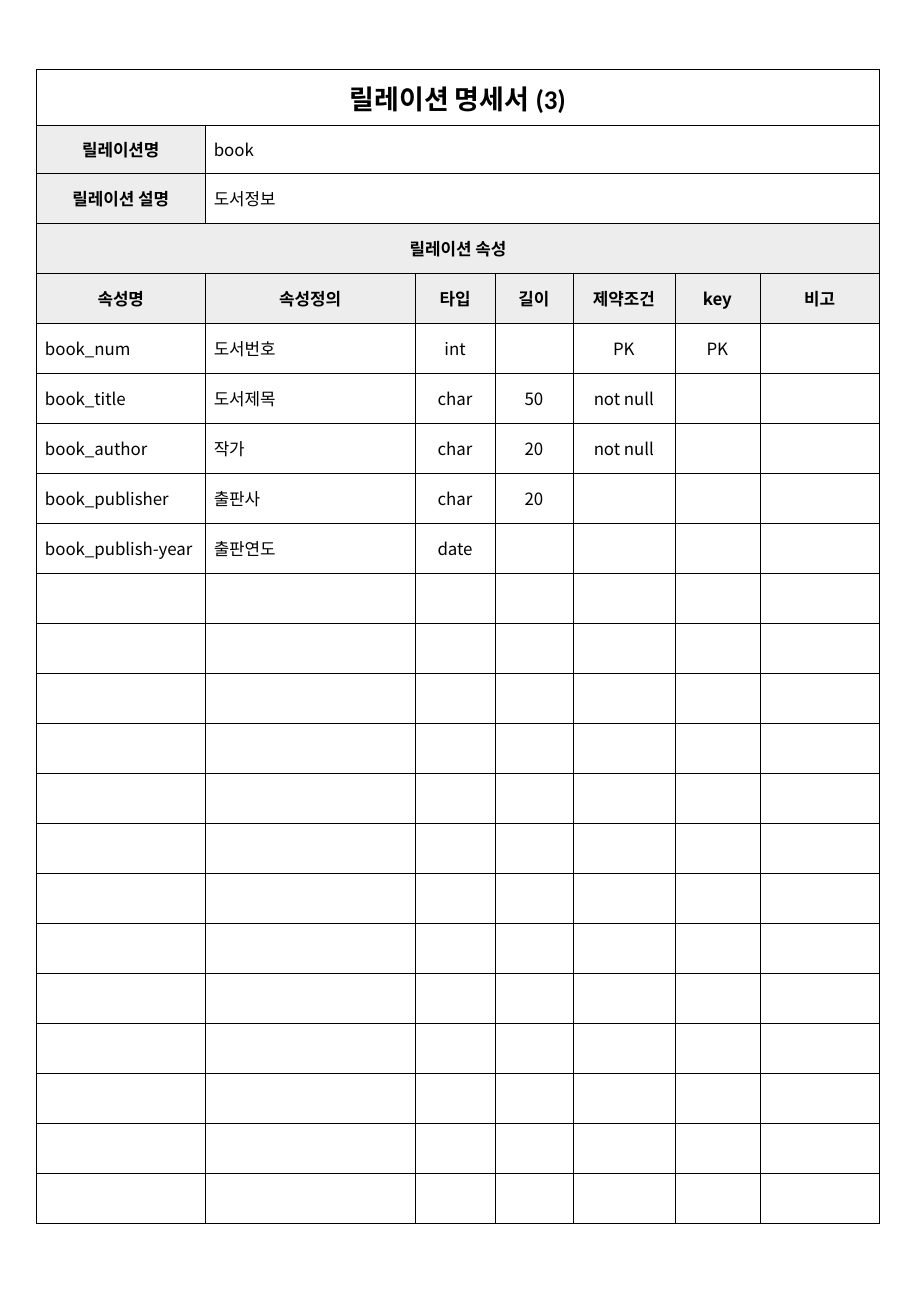
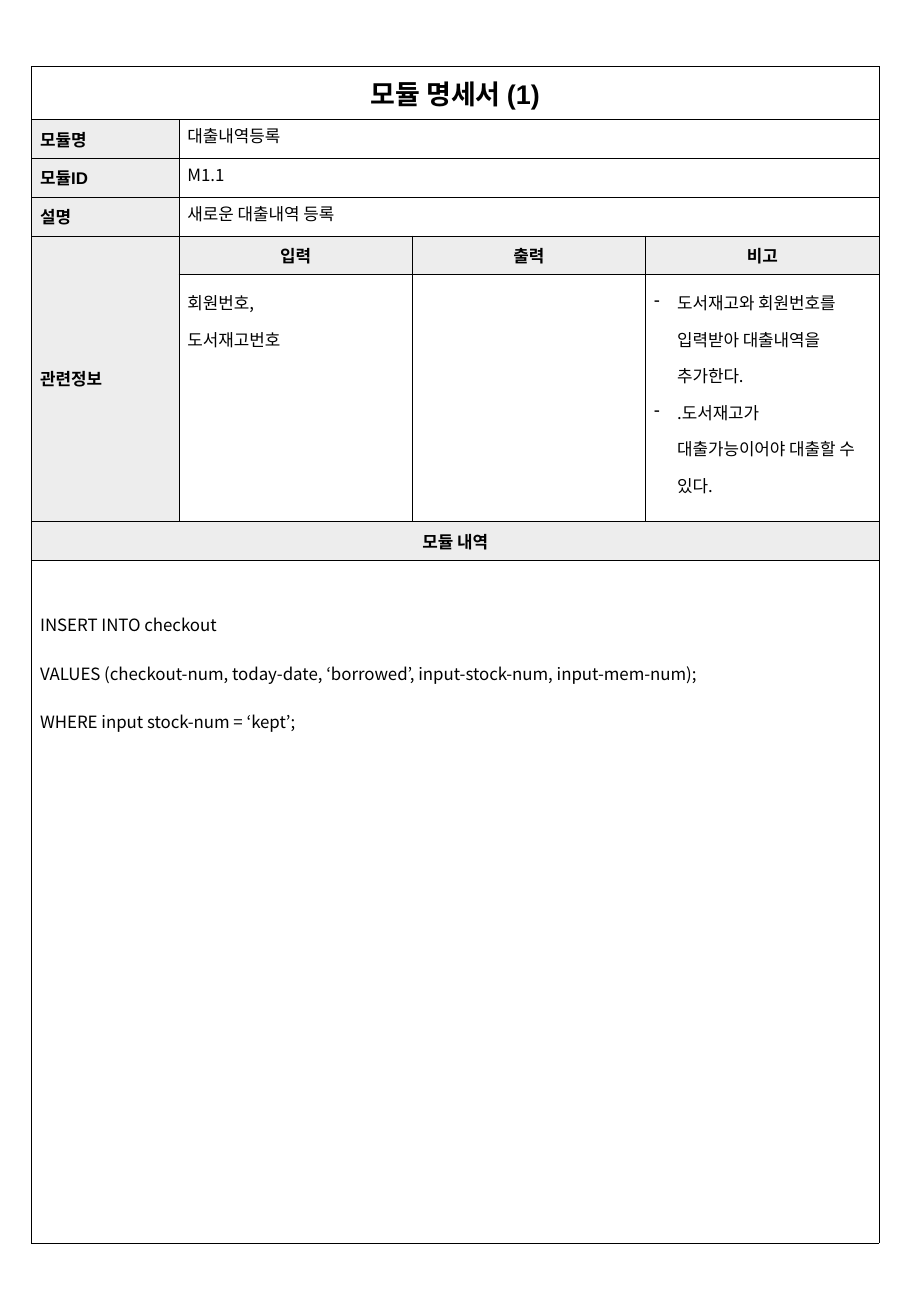
from dataclasses import dataclass

from lxml.etree import SubElement
from pptx import Presentation
from pptx.dml.color import RGBColor
from pptx.enum.text import MSO_ANCHOR, PP_ALIGN
from pptx.oxml.ns import qn
from pptx.util import Cm, Pt


@dataclass(frozen=True)
class Theme:
    ink: str = "000000"
    paper: str = "FFFFFF"
    label_fill: str = "EDEDED"
    body_font: str = "Noto Sans CJK KR"
    title_size: int = 16
    body_size: int = 10
    border_width: float = 0.25


theme = Theme()


def write_cell(cell, text="", font=theme.body_font, size=theme.body_size, bold=False,
               fill=theme.paper, align=PP_ALIGN.LEFT, anchor=MSO_ANCHOR.MIDDLE,
               spacing=None, bullet=None, top=0.08):
    """Fill the cell with one paragraph per line of text."""
    cell.fill.solid()
    cell.fill.fore_color.rgb = RGBColor.from_string(fill)
    cell.vertical_anchor = anchor
    cell.margin_left = cell.margin_right = Cm(0.18)
    cell.margin_top, cell.margin_bottom = Cm(top), Cm(0.08)
    if not text:
        return
    frame = cell.text_frame
    for index, line in enumerate(text.split("\n")):
        paragraph = frame.add_paragraph() if index else frame.paragraphs[0]
        paragraph.alignment = align
        if spacing:
            paragraph.line_spacing = spacing
        if bullet:
            properties = paragraph._p.get_or_add_pPr()
            properties.set("marL", str(Cm(0.48)))
            properties.set("indent", str(Cm(-0.48)))
            SubElement(properties, qn("a:buChar"), char=bullet)
        run = paragraph.add_run()
        run.text = line
        run.font.name = font
        run.font.size = Pt(size)
        run.font.bold = bold
        run.font.color.rgb = RGBColor.from_string(theme.ink)
        east_asian = SubElement(run._r.get_or_add_rPr(), qn("a:ea"))
        east_asian.set("typeface", theme.body_font)


def add_form(left, top, widths, heights):
    """Add a slide with a bordered blank table whose first row is merged for the title."""
    slide = presentation.slides.add_slide(presentation.slide_layouts[6])
    table = slide.shapes.add_table(len(heights), len(widths), Cm(left), Cm(top),
                                   Cm(sum(widths)), Cm(sum(heights))).table
    table.first_row = table.horz_banding = False
    for column, width in zip(table.columns, widths):
        column.width = Cm(width)
    for row, height in zip(table.rows, heights):
        row.height = Cm(height)
    for cell in table.iter_cells():
        for side in ("lnL", "lnR", "lnT", "lnB"):
            line = SubElement(cell._tc.get_or_add_tcPr(), qn(f"a:{side}"),
                              w=str(Pt(theme.border_width)))
            SubElement(SubElement(line, qn("a:solidFill")), qn("a:srgbClr"), val=theme.ink)
        write_cell(cell)
    table.cell(0, 0).merge(table.cell(0, len(widths) - 1))
    return table


presentation = Presentation()
presentation.slide_width = Cm(19.05)
presentation.slide_height = Cm(27.51)

title = dict(size=theme.title_size, bold=True, align=PP_ALIGN.CENTER)
label = dict(bold=True, fill=theme.label_fill)
heading = dict(label, align=PP_ALIGN.CENTER)

# Relation specification
row_count = 21
relation = add_form(0.76, 1.45, [3.53, 4.39, 1.67, 1.63, 2.13, 1.78, 2.5],
                    [1.17, 1] + [21.95 / row_count] * row_count)
write_cell(relation.cell(0, 0), "릴레이션 명세서 (3)", font="Calibri", **title)
for row, (name, value, font) in enumerate([
    ("릴레이션명", "book", theme.body_font),
    ("릴레이션 설명", "도서정보", "Calibri"),
], start=1):
    relation.cell(row, 1).merge(relation.cell(row, 6))
    write_cell(relation.cell(row, 0), name, **heading)
    write_cell(relation.cell(row, 1), value, font=font)
relation.cell(3, 0).merge(relation.cell(3, 6))
write_cell(relation.cell(3, 0), "릴레이션 속성", **heading)
for column, name in enumerate(["속성명", "속성정의", "타입", "길이", "제약조건", "key", "비고"]):
    write_cell(relation.cell(4, column), name, **heading)

attributes = [
    ("book_num", "도서번호", "int", "", "PK", "PK"),
    ("book_title", "도서제목", "char", "50", "not null"),
    ("book_author", "작가", "char", "20", "not null"),
    ("book_publisher", "출판사", "char", "20"),
    ("book_publish-year", "출판연도", "date"),
]
for row, attribute in enumerate(attributes, start=5):
    for column, value in enumerate(attribute):
        align = PP_ALIGN.LEFT if column < 2 else PP_ALIGN.CENTER
        write_cell(relation.cell(row, column), value, align=align)

# Module specification
module = add_form(0.66, 1.39, [3.08] + [4.88] * 3,
                  [1.11] + [0.81] * 4 + [5.16, 0.81, 14.28])
module_label = dict(label, font="Arial")
module_heading = dict(heading, font="Arial")
write_cell(module.cell(0, 0), "모듈 명세서 (1)", font="Arial", **title)
for row, (name, value) in enumerate([
    ("모듈명", "대출내역등록"),
    ("모듈ID", "M1.1"),
    ("설명", "새로운 대출내역 등록"),
], start=1):
    module.cell(row, 1).merge(module.cell(row, 3))
    write_cell(module.cell(row, 0), name, **module_label)
    write_cell(module.cell(row, 1), value, anchor=MSO_ANCHOR.TOP)

module.cell(4, 0).merge(module.cell(5, 0))
write_cell(module.cell(4, 0), "관련정보", **module_label)
notes = "도서재고와 회원번호를 입력받아 대출내역을 추가한다.\n.도서재고가 대출가능이어야 대출할 수 있다."
for column, (name, value, bullet) in enumerate([
    ("입력", "회원번호,\n도서재고번호", None),
    ("출력", "", None),
    ("비고", notes, "-"),
], start=1):
    write_cell(module.cell(4, column), name, **module_heading)
    write_cell(module.cell(5, column), value, anchor=MSO_ANCHOR.TOP, spacing=1.5, bullet=bullet)

for row in (6, 7):
    module.cell(row, 0).merge(module.cell(row, 3))
write_cell(module.cell(6, 0), "모듈 내역", **module_heading)
statement = """INSERT INTO checkout
VALUES (checkout-num, today-date, ‘borrowed’, input-stock-num, input-mem-num);
WHERE input stock-num = ‘kept’;"""
write_cell(module.cell(7, 0), statement, anchor=MSO_ANCHOR.TOP, spacing=2.0, top=0.58)

presentation.save("out.pptx")
